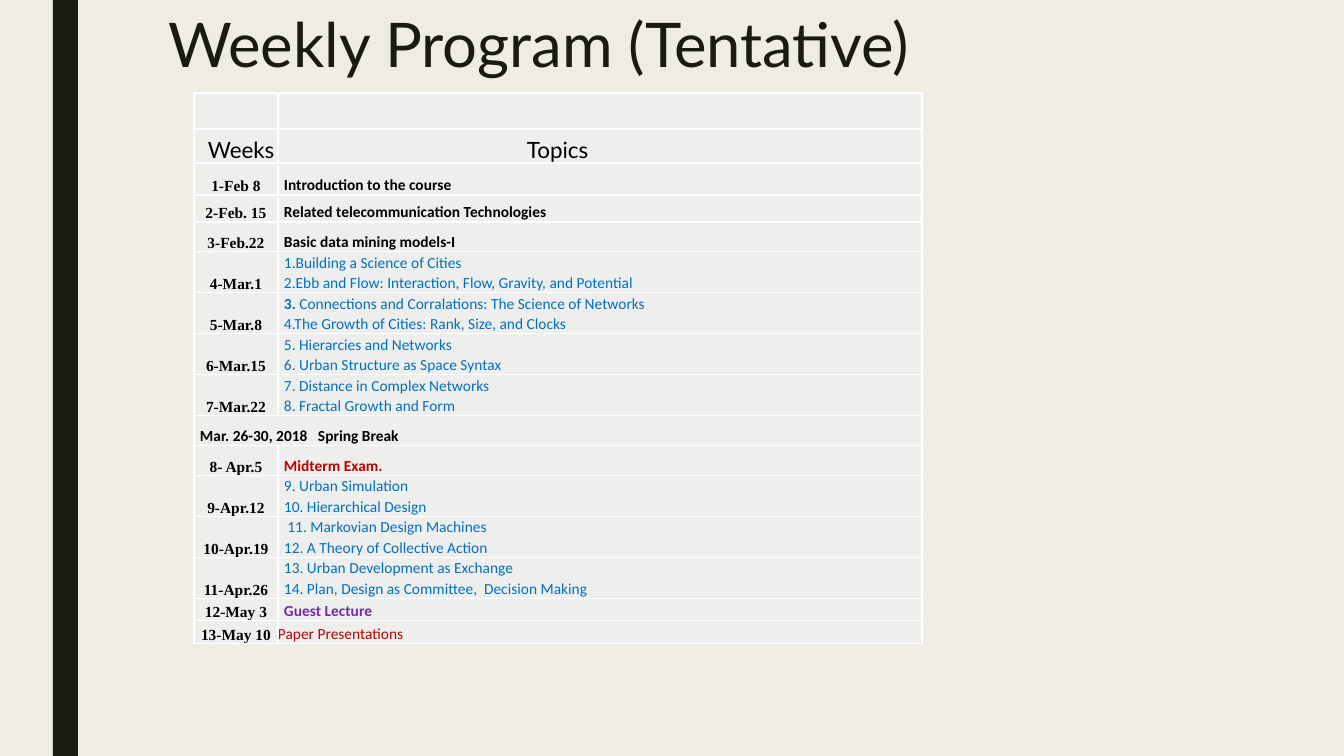
"""Build the weekly program slide."""
from dataclasses import dataclass
from lxml.etree import SubElement as Sub
from pptx import Presentation as Deck
from pptx.dml.color import RGBColor as Color
from pptx.enum.shapes import MSO_SHAPE as Shape
from pptx.enum.text import MSO_ANCHOR as Anchor, PP_ALIGN as Align
from pptx.oxml.ns import qn
from pptx.util import Emu, Pt

SCALE = 914400 / 100.8


def px(n):
    return Emu(round(n * SCALE))


@dataclass(frozen=True)
class Theme:
    back: str = "EFEDE3"
    dark: str = "191B0E"
    cell: str = "EEEEED"
    rule: str = "FFFFFF"
    ink: str = "000000"
    blue: str = "0070C0"
    red: str = "C00000"
    plum: str = "7030A0"
    head: str = "Lato"
    body: str = "Calibri"
    date: str = "Times New Roman"
    big: int = 44
    mid: int = 16
    small: int = 11


def paint(fill, tone):
    fill.solid()
    fill.fore_color.rgb = Color.from_string(tone)


def write(frame, text, font, size, tone, bold=False, align=Align.LEFT,
          lead=1.07, dent=0, mark=""):
    """Fill a frame line by line; mark is a bold lead-in of one line."""
    for i, line in enumerate(text.split("\n")):
        para = frame.add_paragraph() if i else frame.paragraphs[0]
        para.alignment, para.line_spacing = align, lead
        para.space_before = para.space_after = Pt(0)
        props = para._p.get_or_add_pPr()
        props.set("marL", str(px(dent)))
        props.set("indent", "0")
        cut = len(mark) if mark and line.startswith(mark) else 0
        for part, heavy in ((line[:cut], True), (line[cut:], bold)):
            if part:
                run = para.add_run()
                run.text = part
                run.font.name, run.font.size = font, Pt(size)
                run.font.bold = heavy
                run.font.color.rgb = Color.from_string(tone)


class Page:
    def __init__(self, deck, theme):
        self.theme = theme
        self.slide = deck.slides.add_slide(deck.slide_layouts[5])
        paint(self.slide.background.fill, theme.back)

    def bar(self, x, y, w, h):
        box = self.slide.shapes.add_shape(Shape.RECTANGLE, *map(px, (x, y, w, h)))
        box.shadow.inherit = False
        paint(box.fill, self.theme.dark)
        box.line.fill.background()

    def title(self, text, x, y, w, h):
        box = self.slide.shapes.title
        box.left, box.top, box.width, box.height = map(px, (x, y, w, h))
        frame = box.text_frame
        frame.word_wrap = True
        frame.vertical_anchor = Anchor.TOP
        write(frame, text, self.theme.head, self.theme.big, self.theme.dark, lead=0.89)

    def table(self, x, y, cols, rows):
        size = map(px, (x, y, sum(cols), sum(rows)))
        grid = self.slide.shapes.add_table(len(rows), len(cols), *size).table
        grid.first_row = grid.horz_banding = False
        for col, wide in zip(grid.columns, cols):
            col.width = px(wide)
        for row, tall in zip(grid.rows, rows):
            row.height = px(tall)
        for cell in grid.iter_cells():
            self.dress(cell)
        return grid

    def dress(self, cell):
        cell.margin_left = cell.margin_right = 0
        cell.margin_top = cell.margin_bottom = 0
        cell.vertical_anchor = Anchor.BOTTOM
        props = cell._tc.get_or_add_tcPr()
        for side in ("a:lnL", "a:lnR", "a:lnT", "a:lnB"):
            edge = Sub(props, qn(side), w=str(Pt(1)))
            Sub(Sub(edge, qn("a:solidFill")), qn("a:srgbClr"), val=self.theme.rule)
        paint(cell.fill, self.theme.cell)


look = Theme()
bold, blue = dict(bold=True), dict(tone=look.blue)
WEEKS = [
    (32, "1-Feb 8", "Introduction to the course", bold),
    (27, "2-Feb. 15", "Related telecommunication Technologies", bold),
    (30, "3-Feb.22", "Basic data mining models-I", bold),
    (41, "4-Mar.1", "1.Building a Science of Cities\n"
     "2.Ebb and Flow: Interaction, Flow, Gravity, and Potential", blue),
    (41, "5-Mar.8", "3. Connections and Corralations: The Science of Networks\n"
     "4.The Growth of Cities: Rank, Size, and Clocks", dict(blue, mark="3. ")),
    (40, "6-Mar.15", "5. Hierarcies and Networks\n"
     "6. Urban Structure as Space Syntax", blue),
    (41, "7-Mar.22", "7. Distance in Complex Networks\n"
     "8. Fractal Growth and Form", blue),
    (30, "", "Mar. 26-30, 2018   Spring Break", bold),
    (30, "8- Apr.5", "Midterm Exam.", dict(bold, tone=look.red)),
    (41, "9-Apr.12", "9. Urban Simulation\n10. Hierarchical Design", blue),
    (41, "10-Apr.19", " 11. Markovian Design Machines\n"
     "12. A Theory of Collective Action", blue),
    (41, "11-Apr.26", "13. Urban Development as Exchange\n"
     "14. Plan, Design as Committee,  Decision Making", blue),
    (22, "12-May 3", "Guest Lecture", dict(bold, tone=look.plum)),
    (23, "13-May 10", "Paper Presentations", dict(tone=look.red, dent=0)),
]

deck = Deck()
deck.slide_width, deck.slide_height = px(1344), px(756)
page = Page(deck, look)
page.bar(53, 0, 25, 756)
page.title("Weekly Program (Tentative)", 158, 10, 1058, 163)
grid = page.table(194, 93, [84, 644], [36, 34] + [week[0] for week in WEEKS])
for col, (name, dent) in enumerate((("Weeks", 14), ("Topics", 249))):
    for para in grid.cell(0, col).text_frame.paragraphs:
        para.font.size = Pt(look.small)
    write(grid.cell(1, col).text_frame, name, look.head, look.mid, look.ink, dent=dent)
for row, (_, date, topic, form) in enumerate(WEEKS, 2):
    first, last = grid.cell(row, 0), grid.cell(row, 1)
    if date:
        write(first.text_frame, date, look.date, look.small, look.ink, bold=True,
              align=Align.CENTER, lead=Pt(12.1))
    else:
        first.merge(last)
        last = first
    style = dict(font=look.body, size=look.small, tone=look.ink, dent=6)
    write(last.text_frame, topic, **(style | form))
deck.save("out.pptx")
